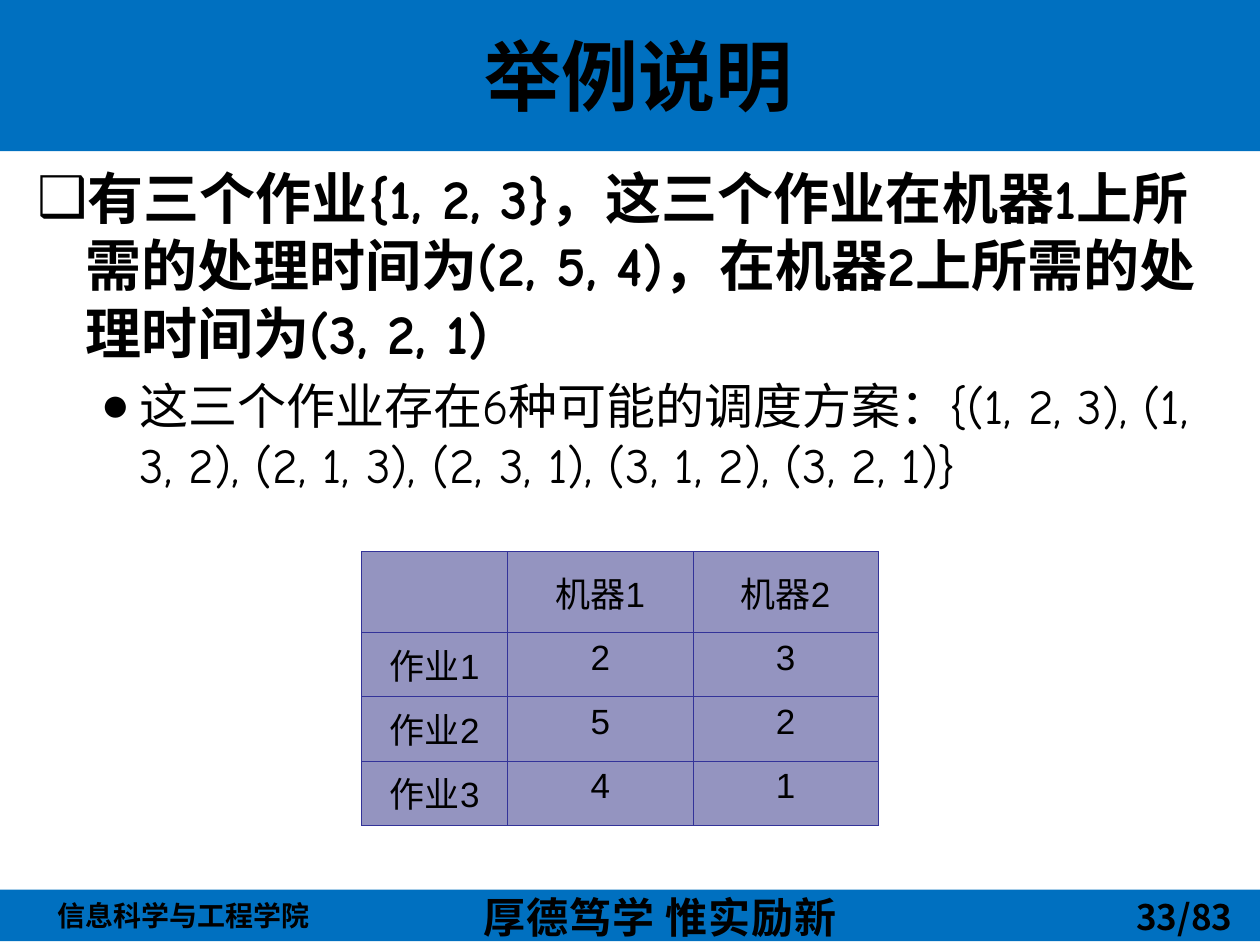
from pptx import Presentation
from pptx.dml.color import RGBColor
from pptx.enum.shapes import MSO_SHAPE as Shape
from pptx.enum.text import MSO_ANCHOR as Anchor, MSO_AUTO_SIZE as AutoSize, PP_ALIGN as Align
from pptx.oxml.ns import qn
from pptx.util import Inches, Pt
from lxml.etree import SubElement

BLACK = RGBColor(0x00, 0x00, 0x00)
BLUE = RGBColor(0x00, 0x70, 0xC0)
NAVY = RGBColor(0x33, 0x33, 0x99)
LAVENDER = RGBColor(0x94, 0x94, 0xC0)
CJK = "Noto Sans CJK SC"
LATIN = "Comic Neue"

POINTS = [
    # text, size, bold, level, left margin, hanging indent, bullet
    ("有三个作业{1, 2, 3}，这三个作业在机器1上所需的处理时间为(2, 5, 4)，"
     "在机器2上所需的处理时间为(3, 2, 1)", 32, True, 0, 0.38, -0.38, "❑"),
    ("这三个作业存在6种可能的调度方案：{(1, 2, 3), (1, 3, 2), (2, 1, 3), "
     "(2, 3, 1), (3, 1, 2), (3, 2, 1)}", 28, False, 1, 0.81, -0.31, "●"),
]
TIMES = [
    ["", "机器1", "机器2"],
    ["作业1", "2", "3"],
    ["作业2", "5", "2"],
    ["作业3", "4", "1"],
]


class SlideBuilder:
    def __init__(self, slide):
        self.slide = slide
        self.shapes = slide.shapes

    def add_text(self, paragraph, text, size, font=CJK, bold=True, align=Align.LEFT, spacing=None):
        paragraph.alignment = align
        run = paragraph.add_run()
        run.text = text
        style = {"size": Pt(size), "name": font, "bold": bold}
        for name, value in style.items():
            setattr(run.font, name, value)
        run.font.color.rgb = BLACK
        properties = run._r.get_or_add_rPr()
        SubElement(properties, qn("a:ea")).set("typeface", CJK)
        if spacing:
            properties.set("spc", str(int(spacing * 100)))

    def bar(self, left, top, width, height):
        bar = self.shapes.add_shape(Shape.RECTANGLE, *map(Inches, (left, top, width, height)))
        bar.shadow.inherit = False
        bar.fill.solid()
        bar.fill.fore_color.rgb = BLUE
        bar.line.fill.background()
        return bar

    def text_box(self, left, top, width, height):
        frame = self.shapes.add_textbox(*map(Inches, (left, top, width, height))).text_frame
        frame.word_wrap = True
        return frame

    def title(self, text, left, top, width, height):
        title = self.shapes.title
        box = {"left": left, "top": top, "width": width, "height": height}
        for name, value in box.items():
            setattr(title, name, Inches(value))
        frame = title.text_frame
        frame.auto_size = AutoSize.NONE
        frame.vertical_anchor = Anchor.MIDDLE
        self.add_text(frame.paragraphs[0], text, 44, LATIN, align=Align.CENTER)
        self.shapes._spTree.append(title._element)  # bring in front of the header bar

    def bullets(self, points, left, top, width, height):
        frame = self.text_box(left, top, width, height)
        for index, (text, size, bold, level, margin, indent, mark) in enumerate(points):
            paragraph = frame.add_paragraph() if index else frame.paragraphs[0]
            self.add_text(paragraph, text, size, LATIN, bold)
            paragraph.level = level
            paragraph.space_before = Pt(size * 0.2)
            properties = paragraph._p.get_or_add_pPr()
            properties.set("marL", str(Inches(margin)))
            properties.set("indent", str(Inches(indent)))
            SubElement(properties, qn("a:buFont")).set("typeface", "Arial")
            SubElement(properties, qn("a:buChar")).set("char", mark)

    def border(self, cell):
        properties = cell._tc.get_or_add_tcPr()
        for side in ("lnL", "lnR", "lnT", "lnB"):
            line = SubElement(properties, qn(f"a:{side}"), w=str(Pt(0.5)))
            fill = SubElement(line, qn("a:solidFill"))
            SubElement(fill, qn("a:srgbClr")).set("val", str(NAVY))

    def table(self, rows, left, top, widths, heights):
        size = (left, top, sum(widths), sum(heights))
        table = self.shapes.add_table(len(rows), len(widths), *map(Inches, size)).table
        for column, width in zip(table.columns, widths):
            column.width = Inches(width)
        for r, (row, height) in enumerate(zip(rows, heights)):
            table.rows[r].height = Inches(height)
            for c, text in enumerate(row):
                cell = table.cell(r, c)
                self.border(cell)
                cell.fill.solid()
                cell.fill.fore_color.rgb = LAVENDER
                cell.vertical_anchor = Anchor.TOP if r else Anchor.MIDDLE
                if text:
                    self.add_text(cell.text_frame.paragraphs[0], text, 20, "Arial", False, Align.CENTER)


def main():
    presentation = Presentation()
    presentation.slide_width = Inches(10)
    presentation.slide_height = Inches(7.5)
    builder = SlideBuilder(presentation.slides.add_slide(presentation.slide_layouts[5]))

    builder.bar(0, -0.03, 10, 1.23)
    college = builder.bar(-0.04, 7.06, 10.04, 0.41).text_frame
    college.margin_left = Inches(0.5)
    builder.add_text(college.paragraphs[0], "信息科学与工程学院", 16)
    motto = builder.text_box(3.74, 7.03, 3.04, 0.5)
    builder.add_text(motto.paragraphs[0], "厚德笃学 惟实励新", 24, spacing=0.5)

    builder.bullets(POINTS, 0.2, 1.25, 9.61, 5.72)
    builder.title("举例说明", 0.57, -0.03, 9, 1.25)
    builder.table(TIMES, 2.87, 4.38, [1.16, 1.47, 1.47], [0.64, 0.51, 0.51, 0.51])
    page = builder.text_box(7.55, 7.06, 2.33, 0.41)
    builder.add_text(page.paragraphs[0], "33/83", 20, align=Align.RIGHT)

    presentation.save("out.pptx")


if __name__ == "__main__":
    main()
